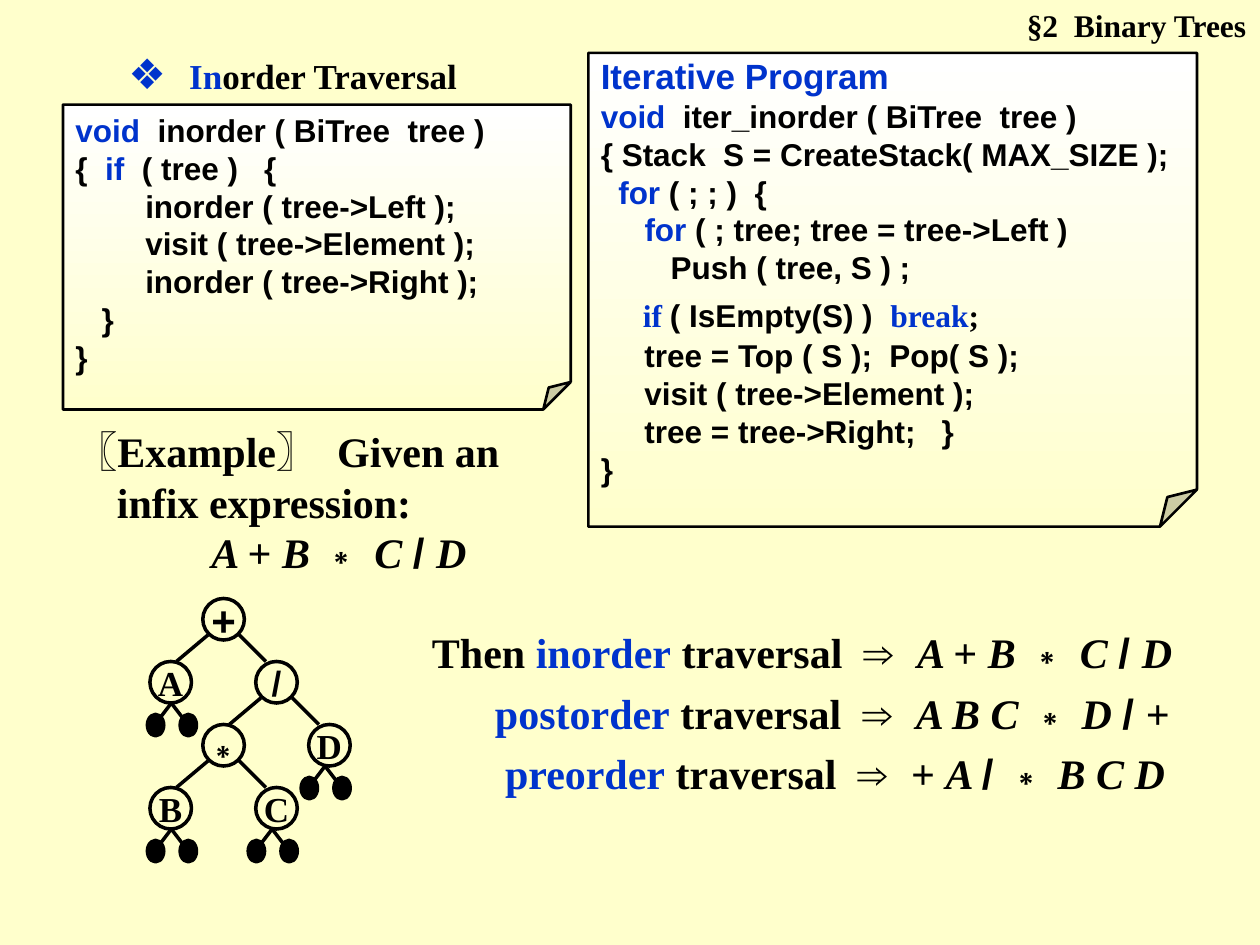
from dataclasses import dataclass

from lxml import etree
from pptx import Presentation
from pptx.dml.color import RGBColor
from pptx.enum.shapes import MSO_CONNECTOR as Connector, MSO_SHAPE as Shape
from pptx.enum.text import MSO_ANCHOR as Anchor, MSO_AUTO_SIZE as AutoSize, PP_ALIGN as Align
from pptx.oxml.ns import qn
from pptx.util import Inches, Pt


@dataclass(frozen=True)
class Theme:
    paper: RGBColor = RGBColor(0xFF, 0xFF, 0xCC)
    white: RGBColor = RGBColor(0xFF, 0xFF, 0xFF)
    ink: RGBColor = RGBColor(0, 0, 0)
    key: RGBColor = RGBColor(0, 0x33, 0xCC)
    serif: str = "Times New Roman"
    sans: str = "Arial"
    small: int = 18
    medium: int = 20
    large: int = 24


THEME = Theme()

# Run styles: what differs from the box's own font, size and colour
KEY = {"color": THEME.key}
VAR = {"italic": True}
SANS = {"font": THEME.sans}
SERIF = {"font": THEME.serif}
TITLE = {**KEY, "size": THEME.medium}
BULLET = {**KEY, **SANS, "size": THEME.large}
SERIF_KEY = {**KEY, **SERIF}
TIMES = ("∗ ", SANS)
SLASH = ("/ ", SANS)
INFIX = [("A ", VAR), "+ ", ("B ", VAR), TIMES, ("C ", VAR), SLASH, ("D", VAR)]

RECURSIVE_CODE = [
    [("void", KEY), "  inorder ( BiTree  tree )"],
    ["{  ", ("if", KEY), "  ( tree )   {"],
    ["        inorder ( tree->Left );"],
    ["        visit ( tree->Element );"],
    ["        inorder ( tree->Right );"],
    ["   }"],
    ["}"],
]
ITERATIVE_CODE = [
    [("Iterative Program", TITLE)],
    [("void", KEY), "  iter_inorder ( BiTree  tree )"],
    ["{ Stack  S = CreateStack( MAX_SIZE );"],
    ["  ", ("for", KEY), " ( ; ; )  {"],
    ["     ", ("for", KEY), " ( ; tree; tree = tree->Left )"],
    ["        Push ( tree, S ) ;"],
    [("    ", {**SERIF_KEY, "size": THEME.large}), ("if ", SERIF_KEY),
     "( IsEmpty(S) )  ", ("break", SERIF_KEY), (";", SERIF)],
    ["     tree = Top ( S );  Pop( S );"],
    ["     visit ( tree->Element );"],
    ["     tree = tree->Right;   }"],
    ["}"],
]
EXAMPLE = [["〖Example〗  Given an"], ["infix expression:"], INFIX]
ARROW = [" traversal  ", ("⇒  ", SANS)]
RESULTS = [
    ["Then ", ("inorder", KEY), *ARROW, *INFIX],
    [("postorder", KEY), *ARROW, ("A B C ", VAR), ("∗", SANS), (" D ", VAR), SLASH, "+"],
    [("preorder", KEY), *ARROW, "+ ", ("A ", VAR), ("/ ∗", SANS), (" B C D", VAR)],
]

# Expression tree: label, column, row, font, size
NODES = [
    ("+", 1, 0, THEME.sans, THEME.large),
    ("A", 0, 1, THEME.serif, THEME.medium),
    ("/", 2, 1, THEME.sans, THEME.medium),
    ("∗", 1, 2, THEME.sans, THEME.large),
    ("D", 3, 2, THEME.serif, THEME.medium),
    ("B", 0, 3, THEME.serif, THEME.medium),
    ("C", 2, 3, THEME.serif, THEME.medium),
]
OPERATORS = "+/∗"
NODE = 0.33
COL_X, COL_STEP = 1.19, 0.42
ROW_Y, ROW_STEP = 4.75, 0.5


class SlideBuilder:
    def __init__(self, slide, theme):
        self.slide, self.theme = slide, theme
        self.shapes = slide.shapes
        fill = slide.background.fill
        fill.solid()
        fill.fore_color.rgb = theme.paper

    def start_group(self):
        """Send the elements that follow into a new group."""
        self.shapes = self.slide.shapes.add_group_shape().shapes

    def end_group(self):
        self.shapes = self.slide.shapes

    def fill_text(self, tf, lines, font, size, align=Align.LEFT, indents=(), gap=0):
        for i, line in enumerate(lines):
            p = tf.paragraphs[0] if i == 0 else tf.add_paragraph()
            p.alignment = align
            if i and gap:
                p.space_before = Pt(gap)
            if i < len(indents) and indents[i]:
                pPr = p._p.get_or_add_pPr()
                pPr.set("marL", str(Inches(indents[i])))
                pPr.set("indent", "0")
            for part in line:
                text, style = (part, {}) if isinstance(part, str) else part
                r = p.add_run()
                r.text = text
                r.font.name = style.get("font", font)
                r.font.size = Pt(style.get("size", size))
                r.font.color.rgb = style.get("color", self.theme.ink)
                r.font.italic = style.get("italic", False)
                r.font.bold = True

    def text(self, x, y, w, h, lines, size, **layout):
        tf = self.shapes.add_textbox(Inches(x), Inches(y), Inches(w), Inches(h)).text_frame
        tf.word_wrap = True
        tf.auto_size = AutoSize.SHAPE_TO_FIT_TEXT
        self.fill_text(tf, lines, self.theme.serif, size, **layout)

    def shape(self, kind, x, y, w, h, line_width):
        sp = self.shapes.add_shape(kind, Inches(x), Inches(y), Inches(w), Inches(h))
        sp.shadow.inherit = False
        sp.line.color.rgb = self.theme.ink
        sp.line.width = Pt(line_width)
        sp.text_frame.vertical_anchor = Anchor.MIDDLE
        return sp

    def code_note(self, x, y, w, h, fold, lines, wrap):
        """Page with a folded corner; fold is in percent of the shorter side."""
        sp = self.shape(Shape.FOLDED_CORNER, x, y, w, h, 1.5)
        guides = sp._element.spPr.find(".//" + qn("a:avLst"))
        for guide in list(guides):
            guides.remove(guide)
        etree.SubElement(guides, qn("a:gd"), name="adj", fmla=f"val {round(fold * 1000)}")
        sp.fill.gradient()
        sp.fill.gradient_angle = 270
        for stop, color in zip(sp.fill.gradient_stops, (self.theme.white, self.theme.paper)):
            stop.color.rgb = color
        sp.text_frame.word_wrap = wrap
        self.fill_text(sp.text_frame, lines, self.theme.sans, self.theme.small)

    def line(self, x1, y1, x2, y2):
        cxn = self.shapes.add_connector(
            Connector.STRAIGHT, Inches(x1), Inches(y1), Inches(x2), Inches(y2))
        cxn.line.color.rgb = self.theme.ink
        cxn.line.width = Pt(2)
        etree.SubElement(cxn._element.spPr, qn("a:effectLst"))

    def node(self, x, y, label, font, size):
        sp = self.shape(Shape.OVAL, x, y, NODE, NODE, 2)
        sp.fill.background()
        sp.text_frame.word_wrap = False
        self.fill_text(sp.text_frame, [[label]], font, size, align=Align.CENTER)

    def branches(self, x, y):
        """Edges from an operator node down to its two children."""
        self.line(x + 0.04, y + 0.29, x - 0.21, y + ROW_STEP)
        self.line(x + 0.29, y + 0.29, x + 0.5, y + ROW_STEP)

    def null_leaves(self, x, y):
        """The two empty subtrees below the point x, y."""
        for side in (-0.13, 0.13):
            self.line(x, y, x + side, y + 0.17)
            sp = self.shape(Shape.OVAL, x + side - 0.06, y + 0.09, 0.13, 0.17, 2)
            sp.fill.solid()
            sp.fill.fore_color.rgb = self.theme.ink

    def expression_tree(self):
        self.start_group()
        for label, col, row, font, size in NODES:
            x, y = COL_X + col * COL_STEP, ROW_Y + row * ROW_STEP
            self.node(x, y, label, font, size)
            if label in OPERATORS:
                self.branches(x, y)
            else:
                self.null_leaves(x + (0.13 if col else 0.17), y + NODE)
        self.end_group()


def main():
    prs = Presentation()
    prs.slide_width, prs.slide_height = Inches(10), Inches(7.5)
    s = SlideBuilder(prs.slides.add_slide(prs.slide_layouts[6]), THEME)

    s.text(7.58, 0, 2.41, 0.4, [["§2  Binary Trees"]], THEME.small, align=Align.RIGHT)
    s.code_note(0.5, 0.83, 4.03, 2.42, 9, RECURSIVE_CODE, wrap=True)
    s.text(0.92, 0.33, 3.08, 0.5,
           [[("❖  ", BULLET), ("In", KEY), "order Traversal"]], THEME.medium)
    s.code_note(4.67, 0.42, 4.83, 3.76, 7.8, ITERATIVE_CODE, wrap=False)
    s.text(0.5, 3.33, 4.08, 1.3, EXAMPLE, THEME.large, indents=(0, 0.33, 1.08))
    s.expression_tree()
    s.text(3.33, 4.92, 6.08, 1.47, RESULTS, THEME.large, indents=(0, 0.5, 0.58), gap=6)

    prs.save("out.pptx")


if __name__ == "__main__":
    main()
